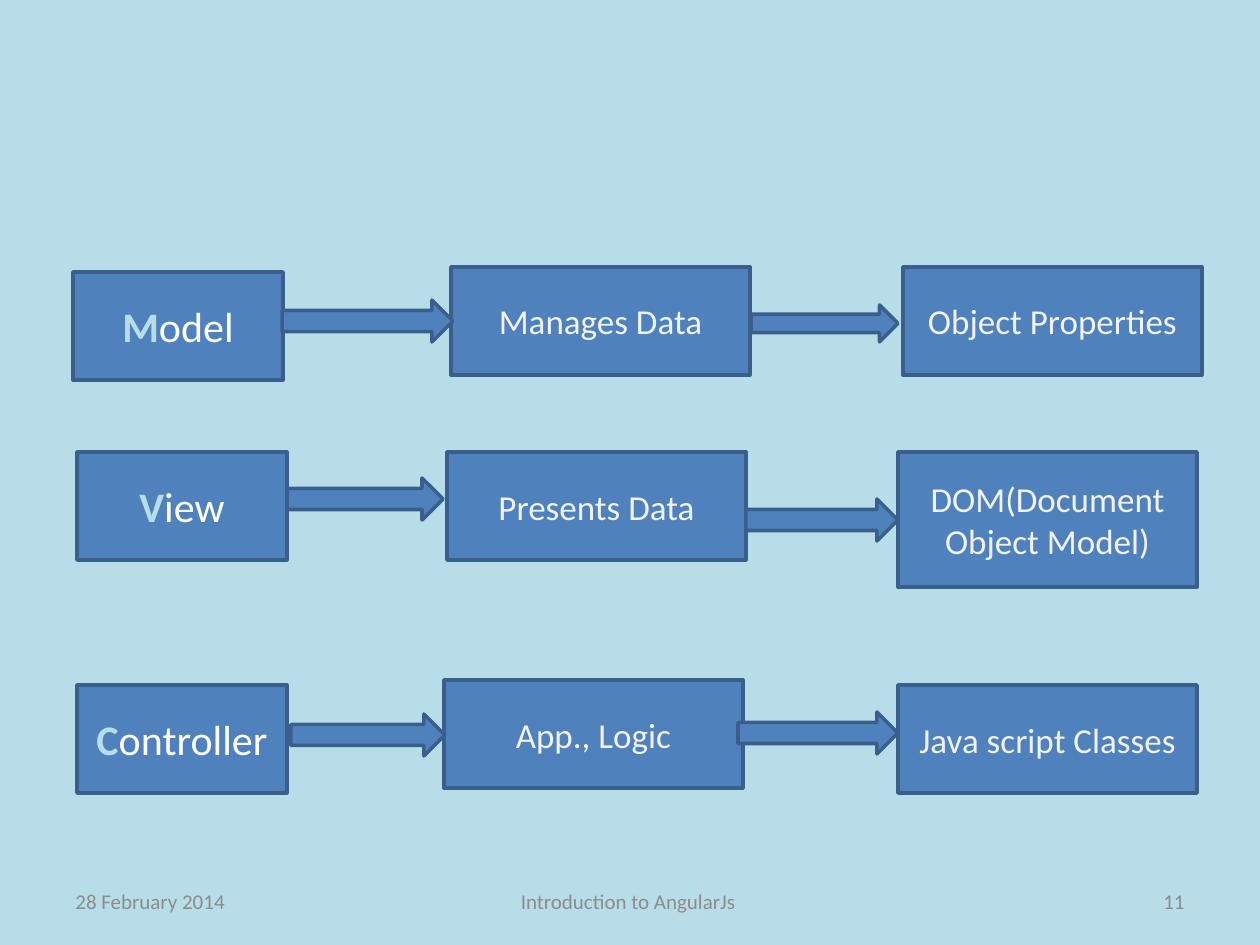
from dataclasses import dataclass

from pptx import Presentation
from pptx.dml.color import RGBColor
from pptx.enum.shapes import MSO_SHAPE
from pptx.enum.text import MSO_ANCHOR, PP_ALIGN
from pptx.util import Pt

RECT, ARROW = MSO_SHAPE.RECTANGLE, MSO_SHAPE.RIGHT_ARROW
LEFT, CENTER, RIGHT = PP_ALIGN.LEFT, PP_ALIGN.CENTER, PP_ALIGN.RIGHT
MIDDLE = MSO_ANCHOR.MIDDLE

EMU_PER_PX = 914400 / 126
COLORS = {
    "background": "B7DEE8",
    "fill": "4F81BD",
    "line": "3A5F8C",
    "initial": "B7DEE8",
    "name": "FFFFFF",
    "detail": "F2F2F2",
    "footer": "8C8C8C",
}
FORMATS = {
    "initial": {"name": "Calibri", "size": Pt(24), "bold": True},
    "name": {"name": "Calibri", "size": Pt(24), "bold": False},
    "detail": {"name": "Calibri", "size": Pt(20), "bold": False},
    "footer": {"name": "Calibri", "size": Pt(12), "bold": False},
}
NAME_W, DETAIL_W, BOX_H = 210, 299, 108
FOOTER_Y, FOOTER_H = 876, 50


@dataclass(frozen=True)
class Box:
    """A labelled rectangle; a part box has a coloured initial."""
    text: str
    x: int
    y: int
    is_part: bool = False
    h: int = BOX_H


@dataclass(frozen=True)
class Arrow:
    """A block arrow leading to the next box."""
    x: int
    y: int
    w: int
    h: int = 42


@dataclass(frozen=True)
class Footer:
    """A text in the footer line."""
    text: str
    x: int
    w: int
    align: PP_ALIGN


BOXES = [
    Box("Model", 73, 272, True),
    Box("Manages Data", 451, 267),
    Box("Object Properties", 903, 267),
    Box("View", 77, 452, True),
    Box("Presents Data", 447, 452),
    Box("DOM(Document Object Model)", 898, 452, h=135),
    Box("Controller", 77, 685, True),
    Box("App., Logic", 444, 680),
    Box("Java script Classes", 898, 685),
]
ARROWS = [
    Arrow(282, 300, 171),
    Arrow(287, 478, 156),
    Arrow(291, 714, 154),
    Arrow(751, 305, 147, 37),
    Arrow(746, 499, 152),
    Arrow(738, 712, 160),
]
FOOTERS = [
    Footer("28 February 2014", 63, 294, LEFT),
    Footer("Introduction to AngularJs ", 431, 399, CENTER),
    Footer("11", 903, 294, RIGHT),
]


def px(*lengths: int) -> list[int]:
    """Turn pixels into EMU."""
    return [round(n * EMU_PER_PX) for n in lengths]


def rgb(key: str) -> RGBColor:
    """Look up a named colour."""
    return RGBColor.from_string(COLORS[key])


def write(sp, runs: list[tuple[str, str]], align: PP_ALIGN) -> None:
    """Write one paragraph of (text, style) runs into a shape."""
    tf = sp.text_frame
    tf.word_wrap = True
    tf.vertical_anchor = MIDDLE
    p = tf.paragraphs[0]
    p.alignment = align
    for text, style in runs:
        r = p.add_run()
        r.text = text
        for attr, value in FORMATS[style].items():
            setattr(r.font, attr, value)
        r.font.color.rgb = rgb(style)


def add_block(s, kind: MSO_SHAPE, x: int, y: int, w: int, h: int):
    """Add a filled and outlined preset shape."""
    sp = s.shapes.add_shape(kind, *px(x, y, w, h))
    sp.shadow.inherit = False
    sp.fill.solid()
    sp.fill.fore_color.rgb = rgb("fill")
    sp.line.color.rgb = rgb("line")
    sp.line.width = Pt(2)
    return sp


def add_box(s, box: Box) -> None:
    """Add a rectangle with its label."""
    w = NAME_W if box.is_part else DETAIL_W
    sp = add_block(s, RECT, box.x, box.y, w, box.h)
    if box.is_part:
        runs = [(box.text[0], "initial"), (box.text[1:], "name")]
    else:
        runs = [(box.text, "detail")]
    write(sp, runs, CENTER)


def add_footer(s, footer: Footer) -> None:
    """Add a text box in the footer line."""
    sp = s.shapes.add_textbox(*px(footer.x, FOOTER_Y, footer.w, FOOTER_H))
    write(sp, [(footer.text, "footer")], footer.align)


def main() -> None:
    """Build and save the slide."""
    prs = Presentation()
    prs.slide_width, prs.slide_height = px(1260, 945)
    s = prs.slides.add_slide(prs.slide_layouts[6])
    s.background.fill.solid()
    s.background.fill.fore_color.rgb = rgb("background")
    for box in BOXES:
        add_box(s, box)
    for arrow in ARROWS:
        add_block(s, ARROW, arrow.x, arrow.y, arrow.w, arrow.h)
    for footer in FOOTERS:
        add_footer(s, footer)
    prs.save("out.pptx")


main()
